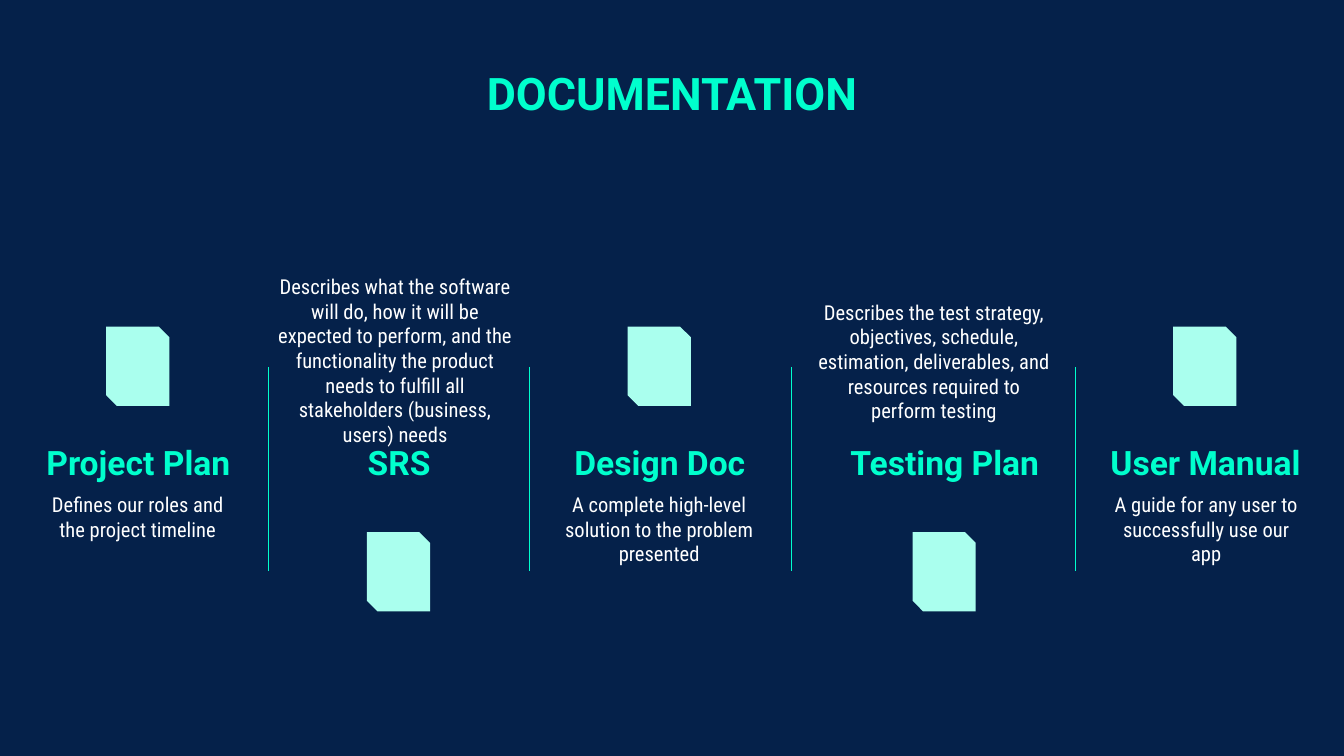
import pptx
import pptx.dml.color
import pptx.enum.shapes
import pptx.enum.text
import pptx.oxml
import pptx.oxml.ns
import pptx.util

Inches = pptx.util.Inches
Anchor = pptx.enum.text.MSO_ANCHOR

NAVY, MINT, PALE_MINT, WHITE = "05214A", "00FFCD", "AAFFEE", "FFFFFF"
COLUMN_WIDTH, COLUMN_TOP = 1.94, 1.94

# column left, heading, description, description (offset, top, width, height), icon top
DOCUMENTS = [
    (0.06, "Project Plan", "Defines our roles and the project timeline",
     (0.22, 1.62, 1.49, 0.92), 0.49),
    (2, "SRS",
     "Describes what the software will do, how it will be expected to perform, "
     "and the functionality the product needs to fulfill all stakeholders "
     "(business, users) needs",
     (-0.06, 0, 2, 2.1), 2.02),
    (3.94, "Design Doc", "A complete high-level solution to the problem presented",
     (0.16, 1.62, 1.61, 0.92), 0.49),
    (6.06, "Testing Plan",
     "Describes the test strategy, objectives, schedule, estimation, "
     "deliverables, and resources required to perform testing",
     (-0.08, 0.19, 1.94, 1.2), 2.02),
    (8, "User Manual", "A guide for any user to successfully use our app",
     (0.17, 1.62, 1.61, 0.92), 0.49),
]
DIVIDERS = [2, 3.94, 5.89, 8]


def color(value):
    return pptx.dml.color.RGBColor.from_string(value)


def write(box, text, size, font, ink, bold=False, anchor=Anchor.TOP):
    """Fill a box with one centred, wrapped paragraph."""
    frame = box.text_frame
    frame.auto_size = pptx.enum.text.MSO_AUTO_SIZE.NONE
    frame.word_wrap = True
    frame.vertical_anchor = anchor
    frame.margin_left = frame.margin_right = Inches(0.1)
    frame.margin_top = frame.margin_bottom = Inches(0.1)
    para = frame.paragraphs[0]
    para.alignment = pptx.enum.text.PP_ALIGN.CENTER
    span = para.add_run()
    span.text = text
    span.font.size = pptx.util.Pt(size)
    span.font.name = font
    span.font.bold = bold
    span.font.color.rgb = color(ink)


def add_title(page, left, top, width, height):
    title = page.shapes.title
    title.left, title.top = Inches(left), Inches(top)
    title.width, title.height = Inches(width), Inches(height)
    write(title, "DOCUMENTATION", 24, "Roboto", MINT, bold=True)


def add_icon(page, left, top):
    icon = page.shapes.add_shape(
        pptx.enum.shapes.MSO_SHAPE.SNIP_2_DIAG_RECTANGLE,
        Inches(left), Inches(top), Inches(0.47), Inches(0.59))
    icon.adjustments[0], icon.adjustments[1] = 0, 0.17
    icon.shadow.inherit = False
    icon.fill.solid()
    icon.fill.fore_color.rgb = color(PALE_MINT)
    icon.line.fill.background()


def add_document(page, left, top, heading, description, area, icon_top):
    """Place one column: heading, description and page icon."""
    offset, area_top, width, height = area
    heading_box = page.shapes.add_textbox(
        Inches(left), Inches(top + 1.36), Inches(COLUMN_WIDTH), Inches(0.39))
    write(heading_box, heading, 18, "Roboto", MINT, bold=True, anchor=Anchor.BOTTOM)
    description_box = page.shapes.add_textbox(
        Inches(left + offset), Inches(top + area_top), Inches(width), Inches(height))
    write(description_box, description, 11, "Roboto Condensed", WHITE)
    add_icon(page, left + 0.73, top + icon_top)


def add_divider(page, left, top, height):
    divider = page.shapes.add_connector(
        pptx.enum.shapes.MSO_CONNECTOR.STRAIGHT,
        Inches(left), Inches(top), Inches(left), Inches(top + height))
    divider.line.color.rgb = color(MINT)
    divider.line.width = pptx.util.Pt(0.75)
    properties = divider.element.find(pptx.oxml.ns.qn("p:spPr"))
    properties.append(pptx.oxml.parse_xml(
        f'<a:effectLst {pptx.oxml.ns.nsdecls("a")}/>'))


def main():
    deck = pptx.Presentation()
    deck.slide_width = Inches(10)
    deck.slide_height = deck.slide_width * 9 // 16
    page = deck.slides.add_slide(deck.slide_layouts[5])
    page.background.fill.solid()
    page.background.fill.fore_color.rgb = color(NAVY)

    add_title(page, 2.15, 0.39, 5.7, 1.03)
    for left, *content in DOCUMENTS:
        add_document(page, left, COLUMN_TOP, *content)
    for left in DIVIDERS:
        add_divider(page, left, 2.73, 1.52)
    deck.save("out.pptx")


if __name__ == "__main__":
    main()
